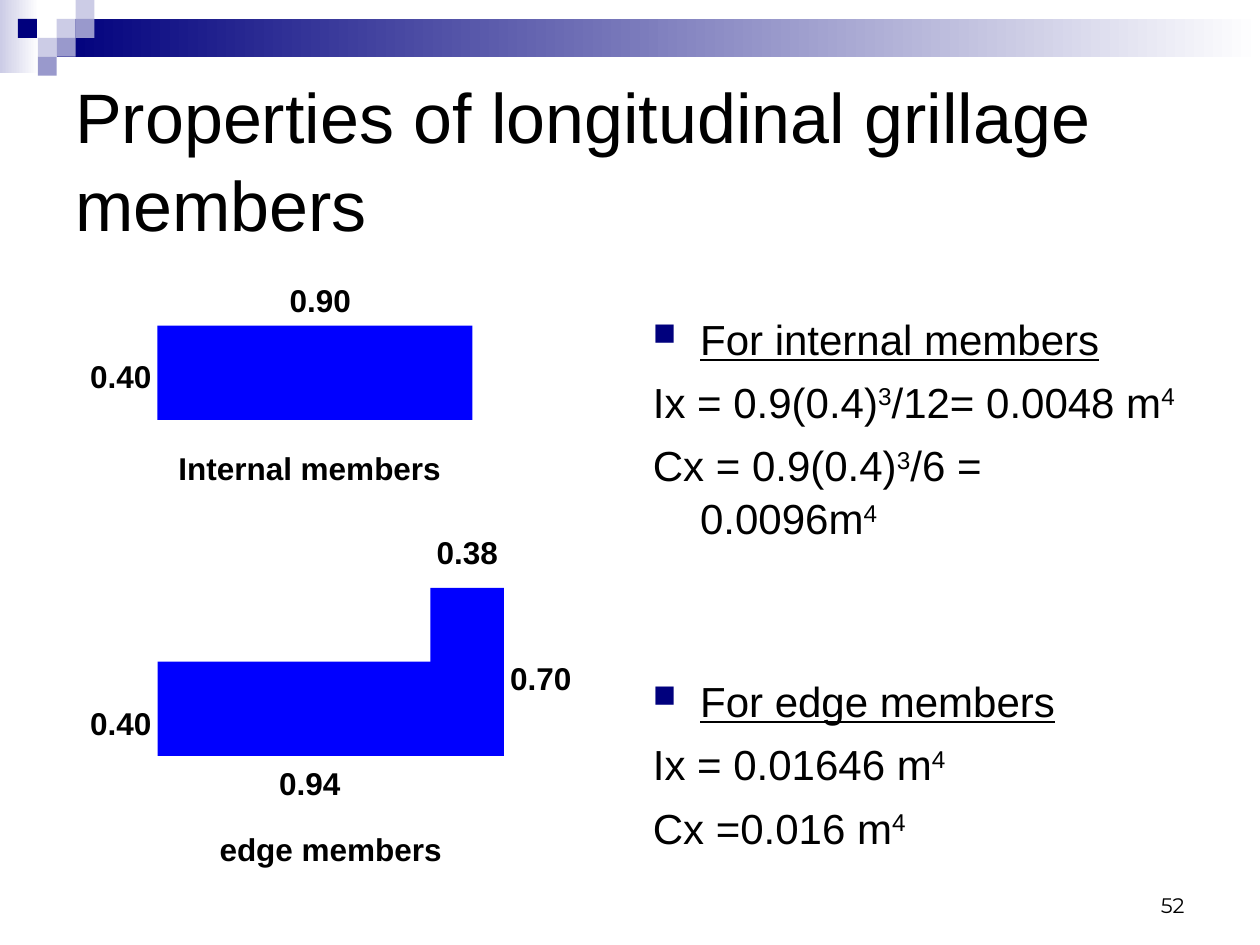
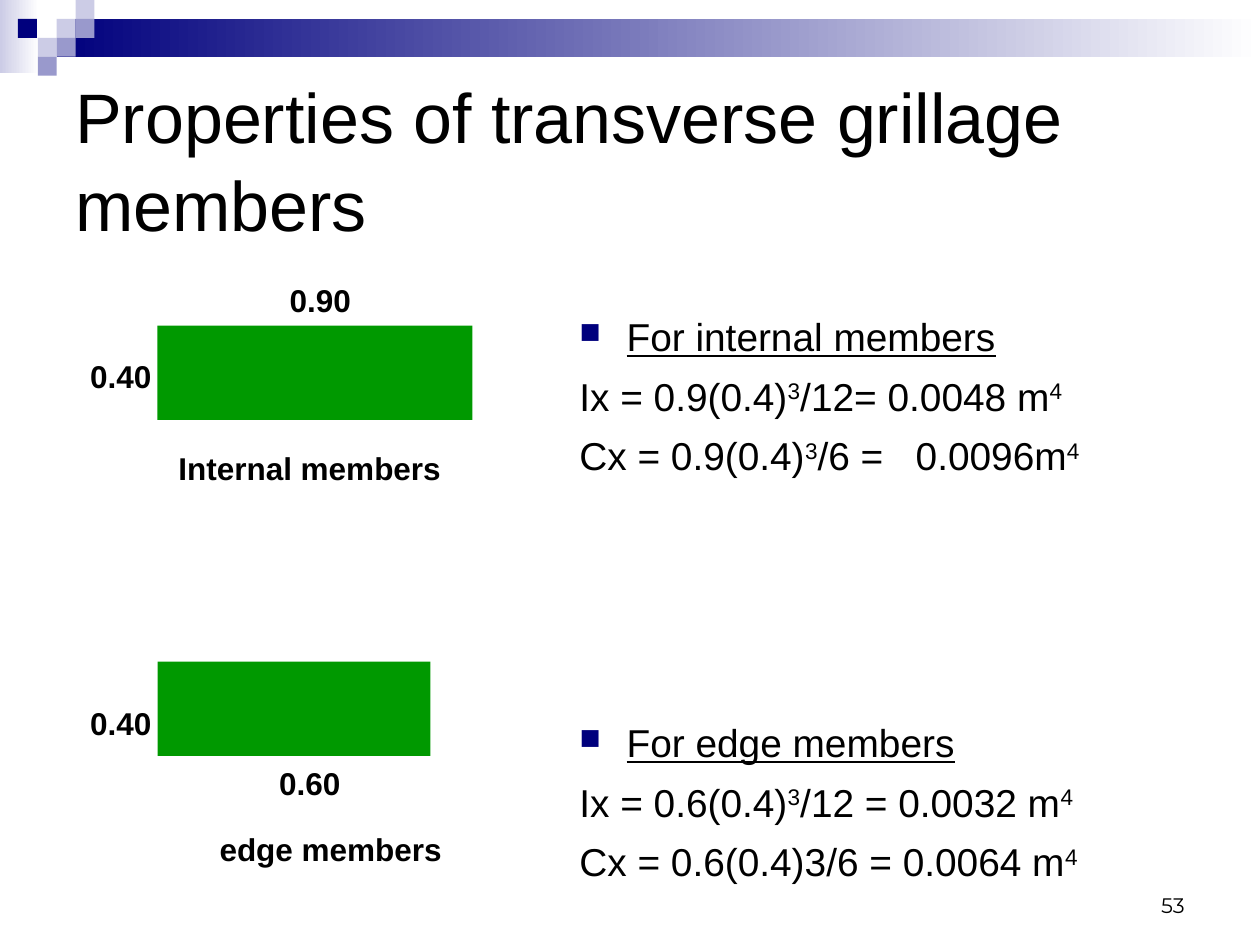
from typing import NamedTuple

from lxml import etree
from pptx import Presentation
from pptx.dml.color import RGBColor
from pptx.enum import shapes, text
from pptx.oxml import ns
from pptx.util import Emu, Inches, Pt

# Layout: a grid of 120 columns by 90 rows on a 10 by 7.5 inch slide
WIDTH, HEIGHT = Inches(10), Inches(7.5)
COLUMNS, ROWS = 120, 90
CELL = WIDTH / COLUMNS
TILE = 1.8  # side of a mosaic tile, in cells
HANG = 4.5  # hanging indent of the formulas, in cells
LABEL_HEIGHT = 4.8
LINE_SPACING = 1.05

COLORS = {
    "navy": "00007D", "violet": "9999CC", "lavender": "CCCCE6",
    "white": "FFFFFF", "ink": "000000", "blue": "0000FF", "green": "009900",
}


class Box(NamedTuple):
    col: float
    row: float
    cols: float
    rows: float


class Style(NamedTuple):
    size: float
    font: str = "Arial"
    bold: bool = False
    align: text.PP_ALIGN = text.PP_ALIGN.LEFT
    anchor: text.MSO_ANCHOR = text.MSO_ANCHOR.TOP
    spacing: float = LINE_SPACING


class Label(NamedTuple):
    wording: str
    col: float
    row: float
    cols: float = 9


class Run(NamedTuple):
    wording: str
    raised: bool = False
    spread: float = 0  # extra width after each character, in points


class Line(NamedTuple):
    runs: tuple[Run, ...]
    heading: bool = False
    before: float = 6


class Page(NamedTuple):
    title: str
    number: int
    section_color: str
    sections: tuple[Box, ...]
    labels: tuple[Label, ...]
    formula_col: float
    formula_size: float
    formulas: tuple[Line, ...]


TITLE = Style(40, anchor=text.MSO_ANCHOR.MIDDLE)
LABEL = Style(18, bold=True, align=text.PP_ALIGN.CENTER)
NUMBER = Style(12, "Montserrat", align=text.PP_ALIGN.RIGHT,
               anchor=text.MSO_ANCHOR.BOTTOM, spacing=1)

# Mosaic tiles: column and row in tiles, colour
MOSAIC = (
    (3, 1, "lavender"), (4, 0, "lavender"), (4, 1, "violet"),
    (2, 2, "lavender"), (0.95, 1, "navy"), (3, 2, "violet"), (2, 3, "violet"),
)

# Content
CUBED, FOURTH = Run("3", raised=True), Run("4", raised=True)
BREAK = Run("\v")
INTERNAL_SECTION = Box(15, 31, 30, 9)
SHARED_LABELS = (
    Label("0.90", 26, 26), Label("0.40", 7, 33.25), Label("0.40", 7, 66.25),
    Label("Internal members", 15, 42, 29), Label("edge members", 17, 78.25, 29),
)


def heading(wording: str, before: float = 0) -> Line:
    return Line((Run(wording),), heading=True, before=before)


def internal_formulas(gap: Run) -> tuple[Line, ...]:
    return (
        heading("For internal members"),
        Line((Run("Ix = 0.9(0.4)"), CUBED, Run("/12= 0.0048 m"), FOURTH)),
        Line((Run("Cx = 0.9(0.4)"), CUBED, Run("/6 ="), gap, Run("0.0096m"), FOURTH)),
    )


PAGES = (
    Page(
        "Properties of longitudinal grillage members", 52, "blue",
        (INTERNAL_SECTION, Box(15, 63, 33, 9), Box(41, 56, 7, 16)),
        SHARED_LABELS + (Label("0.94", 25, 72), Label("0.38", 40, 50),
                         Label("0.70", 47, 62)),
        61, 24,
        internal_formulas(BREAK) + (
            heading("For edge members", before=74),
            Line((Run("Ix = 0.01646 m"), FOURTH)),
            Line((Run("Cx =0.016 m"), FOURTH)),
        ),
    ),
    Page(
        "Properties of transverse grillage members", 53, "green",
        (INTERNAL_SECTION, Box(15, 63, 26, 9)),
        SHARED_LABELS + (Label("0.60", 25, 72),),
        54, 22.2,
        internal_formulas(Run(" ", spread=12.3)) + (
            heading("For edge members", before=136),
            Line((Run("Ix = 0.6(0.4)"), CUBED, Run("/12 = 0.0032 m"), FOURTH)),
            Line((Run("Cx = 0.6(0.4)3/6 = 0.0064 m"), FOURTH)),
        ),
    ),
)


# Drawing
def rgb(name: str) -> RGBColor:
    return RGBColor.from_string(COLORS[name])


def place(box: Box) -> list[Emu]:
    return [Emu(round(cells * CELL)) for cells in box]


def draw_block(slide, box: Box, color: str, fade_to: str = "") -> None:
    block = slide.shapes.add_shape(shapes.MSO_SHAPE.RECTANGLE, *place(box))
    block.shadow.inherit = False
    block.line.fill.background()
    if not fade_to:
        block.fill.solid()
        block.fill.fore_color.rgb = rgb(color)
        return
    block.fill.gradient()
    block.fill.gradient_angle = 0
    for stop, name in zip(block.fill.gradient_stops, (color, fade_to)):
        stop.color.rgb = rgb(name)


def add_frame(slide, box: Box, anchor: text.MSO_ANCHOR):
    frame = slide.shapes.add_textbox(*place(box)).text_frame
    frame.word_wrap = True
    frame.vertical_anchor = anchor
    return frame


def format_run(run, style: Style) -> None:
    run.font.size = Pt(style.size)
    run.font.name = style.font
    run.font.bold = style.bold
    run.font.color.rgb = rgb("ink")


def write(slide, box: Box, wording: str, style: Style) -> None:
    frame = add_frame(slide, box, style.anchor)
    frame.text = wording
    paragraph = frame.paragraphs[0]
    paragraph.alignment = style.align
    paragraph.line_spacing = style.spacing
    format_run(paragraph.runs[0], style)


def add_bullet(properties) -> None:
    color = etree.SubElement(properties, ns.qn("a:buClr"))
    etree.SubElement(color, ns.qn("a:srgbClr"), val=COLORS["navy"])
    etree.SubElement(properties, ns.qn("a:buSzPct"), val="75000")
    etree.SubElement(properties, ns.qn("a:buChar"), char="■")


def write_line(paragraph, line: Line, style: Style) -> None:
    properties = paragraph._p.get_or_add_pPr()
    hang = round(HANG * CELL)
    properties.set("marL", str(hang))
    properties.set("indent", str(-hang))
    if line.heading:
        add_bullet(properties)
    paragraph.line_spacing = style.spacing
    if line.before:
        paragraph.space_before = Pt(line.before)
    for part in line.runs:
        if part == BREAK:
            paragraph.add_line_break()
            continue
        run = paragraph.add_run()
        run.text = part.wording
        format_run(run, style)
        run.font.underline = line.heading
        if part.raised:
            run.font._element.set("baseline", "30000")
        if part.spread:
            run.font._element.set("spc", str(round(part.spread * 100)))


def draw_header(slide) -> None:
    draw_block(slide, Box(0, 0, 3.7, 7), "lavender", fade_to="white")
    bar_start = 3 * TILE
    draw_block(slide, Box(bar_start, TILE, COLUMNS - bar_start, 2 * TILE),
               "navy", fade_to="white")
    for col, row, color in MOSAIC:
        draw_block(slide, Box(col * TILE, row * TILE, TILE, TILE), color)


def draw_page(slide, page: Page) -> None:
    draw_header(slide)
    write(slide, Box(6, 6, 108, 18), page.title, TITLE)

    # Formulas on the right
    box = Box(page.formula_col, 29, 114 - page.formula_col, 51)
    frame = add_frame(slide, box, text.MSO_ANCHOR.TOP)
    for index, line in enumerate(page.formulas):
        paragraph = frame.add_paragraph() if index else frame.paragraphs[0]
        write_line(paragraph, line, Style(page.formula_size))

    # Cross-sections with their dimensions on the left
    for section in page.sections:
        draw_block(slide, section, page.section_color)
    for label in page.labels:
        write(slide, Box(label.col, label.row, label.cols, LABEL_HEIGHT),
              label.wording, LABEL)

    write(slide, Box(86, 82, 28, 6), str(page.number), NUMBER)


def main() -> None:
    deck = Presentation()
    deck.slide_width, deck.slide_height = WIDTH, HEIGHT
    blank = deck.slide_layouts[6]
    for page in PAGES:
        draw_page(deck.slides.add_slide(blank), page)
    deck.save("out.pptx")


if __name__ == "__main__":
    main()
